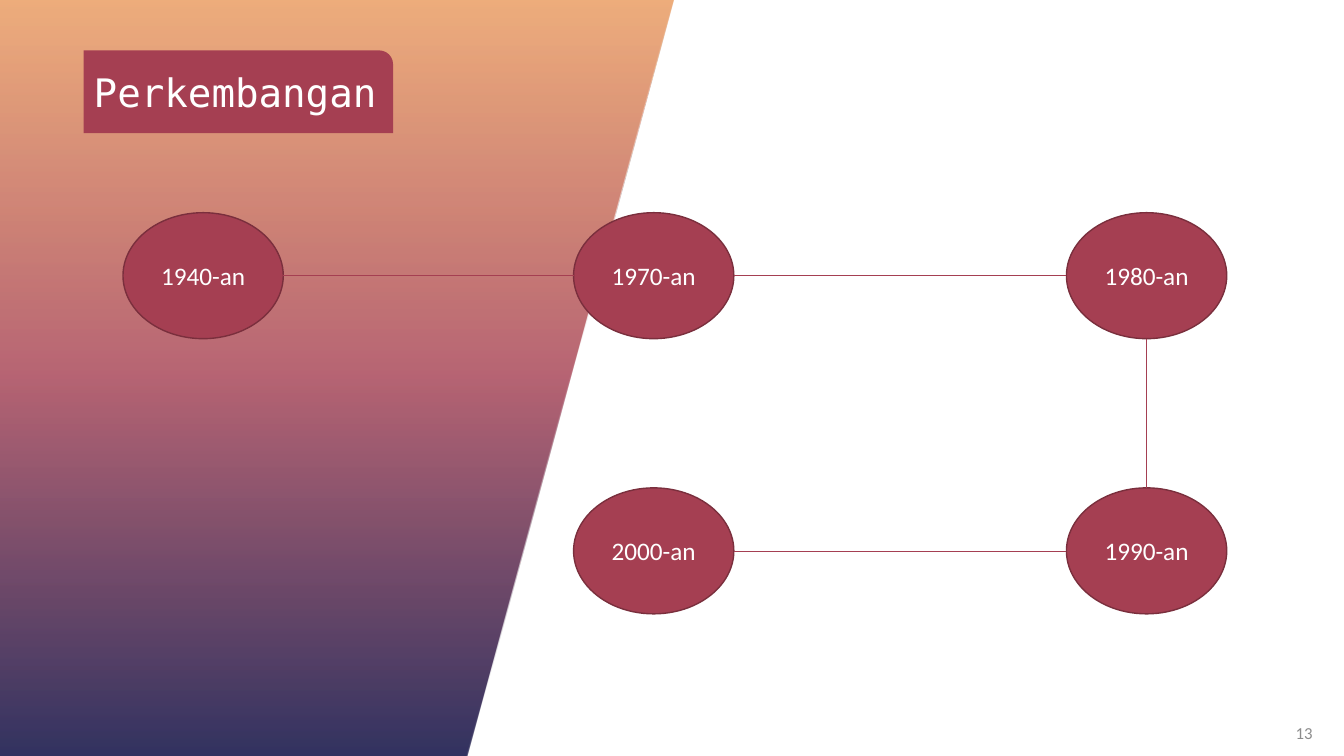
from lxml.etree import SubElement
from pptx import Presentation
from pptx.dml.color import RGBColor
from pptx.enum.shapes import MSO_CONNECTOR as Connector, MSO_SHAPE as Preset
from pptx.enum.text import MSO_ANCHOR as Anchor, MSO_AUTO_SIZE as AutoSize, PP_ALIGN as Align
from pptx.oxml.ns import qn
from pptx.util import Pt

CRIMSON = RGBColor(0xA5, 0x3F, 0x52)
DARK_CRIMSON = RGBColor(0x7A, 0x2F, 0x3D)
NIGHT = RGBColor(0x01, 0x02, 0x3B)
ORANGE = RGBColor(0xEA, 0x9A, 0x5C)
GRAY = RGBColor(0x8C, 0x8C, 0x8C)
WHITE = RGBColor(0xFF, 0xFF, 0xFF)

BODY_FONT = "Calibri"
TITLE_FONT = "DejaVu Sans Mono"
COLUMNS = (87.84, 409.68, 761.76)
ROWS = (151.92, 348.48)
OVAL_WIDTH, OVAL_HEIGHT = 114.48, 90
DECADES = (
    ("1940-an", 0, 0),
    ("1970-an", 1, 0),
    ("1980-an", 2, 0),
    ("1990-an", 2, 1),
    ("2000-an", 1, 1),
)


def write_text(frame, text, size, color, align, font=BODY_FONT):
    frame.word_wrap = True
    frame.vertical_anchor = Anchor.MIDDLE
    paragraph = frame.paragraphs[0]
    paragraph.alignment = align
    run = paragraph.add_run()
    run.text = text
    run.font.name = font
    run.font.size = Pt(size)
    run.font.color.rgb = color


def add_filled_shape(slide, preset, left, top, width, height):
    shape = slide.shapes.add_shape(preset, Pt(left), Pt(top), Pt(width), Pt(height))
    shape.shadow.inherit = False
    shape.fill.solid()
    shape.fill.fore_color.rgb = CRIMSON
    shape.line.fill.background()
    return shape


def add_gradient_panel(slide):
    builder = slide.shapes.build_freeform(0, 0)
    corners = ((480.96, 0), (333.36, 540), (0, 540))
    builder.add_line_segments([(Pt(x), Pt(y)) for x, y in corners], close=True)
    panel = builder.convert_to_shape()
    panel.shadow.inherit = False
    panel.line.fill.background()
    panel.fill.gradient()
    panel.fill.gradient_angle = 90
    stops = panel._element.spPr.find(qn("a:gradFill")).find(qn("a:gsLst"))
    for stop in list(stops):
        stops.remove(stop)
    for position, color in ((0, NIGHT), (50, CRIMSON), (100, ORANGE)):
        stop = SubElement(stops, qn("a:gs"), pos=str(position * 1000))
        shade = SubElement(stop, qn("a:srgbClr"), val=str(color))
        SubElement(shade, qn("a:alpha"), val="80000")


def add_page_number(slide, number):
    box = slide.shapes.add_textbox(Pt(909.36), Pt(509.04), Pt(35.28), Pt(28.8))
    write_text(box.text_frame, number, 12, GRAY, Align.RIGHT)


def add_decade(slide, text, column, row):
    oval = add_filled_shape(
        slide, Preset.OVAL, COLUMNS[column], ROWS[row], OVAL_WIDTH, OVAL_HEIGHT
    )
    oval.line.color.rgb = DARK_CRIMSON
    oval.line.width = Pt(1)
    write_text(oval.text_frame, text, 18, WHITE, Align.CENTER)
    return oval


def link_decades(slide, first, second):
    if first.left == second.left:
        x = first.left + first.width // 2
        ends = (x, first.top + first.height, x, second.top)
    else:
        y = first.top + first.height // 2
        if first.left < second.left:
            ends = (first.left + first.width, y, second.left, y)
        else:
            ends = (first.left, y, second.left + second.width, y)
    link = slide.shapes.add_connector(Connector.STRAIGHT, *ends)
    link.line.color.rgb = CRIMSON
    link.line.width = Pt(0.5)
    SubElement(link._element.spPr, qn("a:effectLst"))


def place_title(slide, text):
    plate = add_filled_shape(slide, Preset.ROUND_1_RECTANGLE, 59.76, 36, 221.04, 59.04)
    title = slide.shapes.title
    title.left, title.top = plate.left, plate.top
    title.width, title.height = plate.width, plate.height
    title.text_frame.auto_size = AutoSize.NONE
    write_text(title.text_frame, text, 28, WHITE, Align.LEFT, TITLE_FONT)
    slide.shapes._spTree.append(title._element)


def main():
    presentation = Presentation()
    presentation.slide_width = Pt(960)
    presentation.slide_height = Pt(540)
    slide = presentation.slides.add_slide(presentation.slide_layouts[5])
    slide.background.fill.solid()
    slide.background.fill.fore_color.rgb = WHITE
    add_gradient_panel(slide)
    add_page_number(slide, "13")
    ovals = [add_decade(slide, *decade) for decade in DECADES]
    for first, second in zip(ovals, ovals[1:]):
        link_decades(slide, first, second)
    place_title(slide, "Perkembangan")
    presentation.save("out.pptx")


if __name__ == "__main__":
    main()
